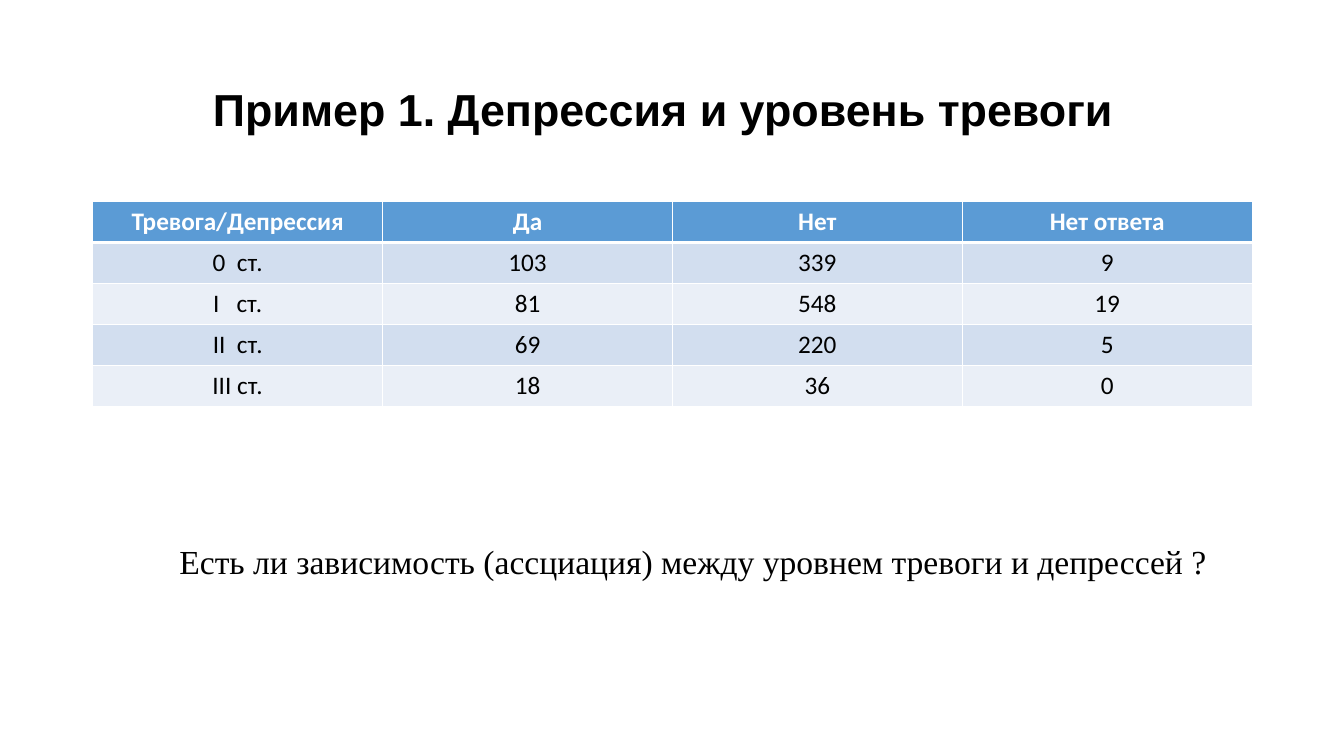
from dataclasses import dataclass
from typing import Any

from lxml import etree
from pptx import Presentation
from pptx import util as u
from pptx.dml.color import RGBColor
from pptx.enum import text
from pptx.oxml import ns

BLACK = RGBColor(0x00, 0x00, 0x00)
WHITE = RGBColor(0xFF, 0xFF, 0xFF)
HEADER_BLUE = RGBColor(0x5B, 0x9B, 0xD5)
BANDS = (RGBColor(0xD2, 0xDE, 0xEF), RGBColor(0xEA, 0xEF, 0xF7))
SPACE_WIDTH = 4.07


@dataclass(frozen=True)
class Level:
    degree: str
    extra_spaces: int
    counts: tuple[int, int, int]


@dataclass(frozen=True)
class TextBlock:
    content: str
    place: tuple[float, float, float, float]
    font: dict[str, Any]
    line_spacing: float
    anchor: text.MSO_ANCHOR
    auto_size: text.MSO_AUTO_SIZE


HEADERS = ("Тревога/Депрессия", "Да", "Нет", "Нет ответа")
LEVELS = (
    Level("0", 1, (103, 339, 9)),
    Level("I", 2, (81, 548, 19)),
    Level("II", 1, (69, 220, 5)),
    Level("III", 0, (18, 36, 0)),
)
TITLE = TextBlock(
    "Пример 1. Депрессия и уровень тревоги",
    (0.83, 0.39, 11.5, 1.45),
    {"name": "Arial", "size": u.Pt(32), "bold": True},
    0.9,
    text.MSO_ANCHOR.MIDDLE,
    text.MSO_AUTO_SIZE.NONE,
)
QUESTION = TextBlock(
    "Есть ли зависимость (ассциация) между уровнем тревоги и депрессей ?",
    (1.56, 5.32, 10.63, 0.5),
    {"name": "Times New Roman", "size": u.Pt(24), "bold": False},
    1.0,
    text.MSO_ANCHOR.TOP,
    text.MSO_AUTO_SIZE.SHAPE_TO_FIT_TEXT,
)


def add_span(para, content: str, font: dict[str, Any], color: RGBColor):
    span = para.add_run()
    span.text = content
    for name, value in font.items():
        setattr(span.font, name, value)
    span.font.color.rgb = color
    return span


def write_block(box, block: TextBlock) -> None:
    for name, value in zip(("left", "top", "width", "height"), block.place):
        setattr(box, name, u.Inches(value))
    frame = box.text_frame
    frame.word_wrap = True
    frame.auto_size = block.auto_size
    frame.vertical_anchor = block.anchor
    para = frame.paragraphs[0]
    para.alignment = text.PP_ALIGN.CENTER
    para.line_spacing = block.line_spacing
    add_span(para, block.content, block.font, BLACK)


def add_borders(cell, widths: dict[str, int]) -> None:
    properties = cell._tc.get_or_add_tcPr()
    for side, width in widths.items():
        line = etree.SubElement(properties, ns.qn(f"a:ln{side}"), w=str(u.Pt(width)))
        fill = etree.SubElement(line, ns.qn("a:solidFill"))
        etree.SubElement(fill, ns.qn("a:srgbClr"), val=str(WHITE))


def write_cell(cell, spans: list[str], row: int, extra_spaces: int = 0) -> None:
    header = row == 0
    add_borders(cell, {"L": 1, "R": 1, "T": 3 if row == 1 else 1, "B": 3 if header else 1})
    cell.fill.solid()
    cell.fill.fore_color.rgb = HEADER_BLUE if header else BANDS[(row - 1) % 2]
    para = cell.text_frame.paragraphs[0]
    para.alignment = text.PP_ALIGN.CENTER
    font = {"name": "Calibri", "size": u.Pt(18), "bold": header}
    for content in spans:
        span = add_span(para, content, font, WHITE if header else BLACK)
        if content == " " and extra_spaces:
            spacing = round(extra_spaces * SPACE_WIDTH * 100)
            span._r.get_or_add_rPr().set("spc", str(spacing))


def add_levels_table(page) -> None:
    rows, columns = len(LEVELS) + 1, len(HEADERS)
    table = page.shapes.add_table(
        rows, columns, u.Inches(0.92), u.Inches(2), u.Inches(11.5), u.Inches(2.03)
    ).table
    for column, header in enumerate(HEADERS):
        write_cell(table.cell(0, column), [header], 0)
    for row, level in enumerate(LEVELS, 1):
        write_cell(table.cell(row, 0), [level.degree, " ", "ст."], row, level.extra_spaces)
        for column, count in enumerate(level.counts, 1):
            write_cell(table.cell(row, column), [str(count)], row)


def main() -> None:
    deck = Presentation()
    deck.slide_width, deck.slide_height = u.Inches(13.33), u.Inches(7.5)
    page = deck.slides.add_slide(deck.slide_layouts[5])
    write_block(page.shapes.title, TITLE)
    add_levels_table(page)
    question_box = page.shapes.add_textbox(*map(u.Inches, QUESTION.place))
    write_block(question_box, QUESTION)
    deck.save("out.pptx")


if __name__ == "__main__":
    main()
